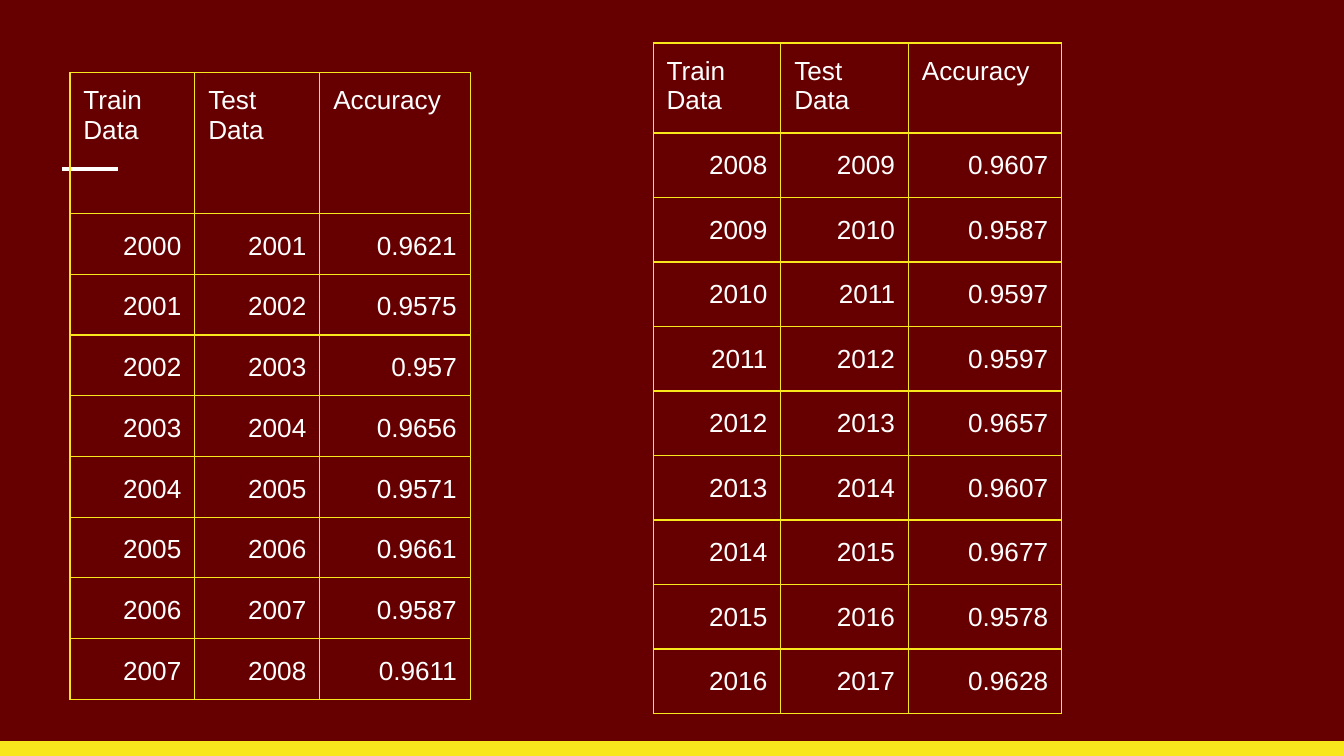
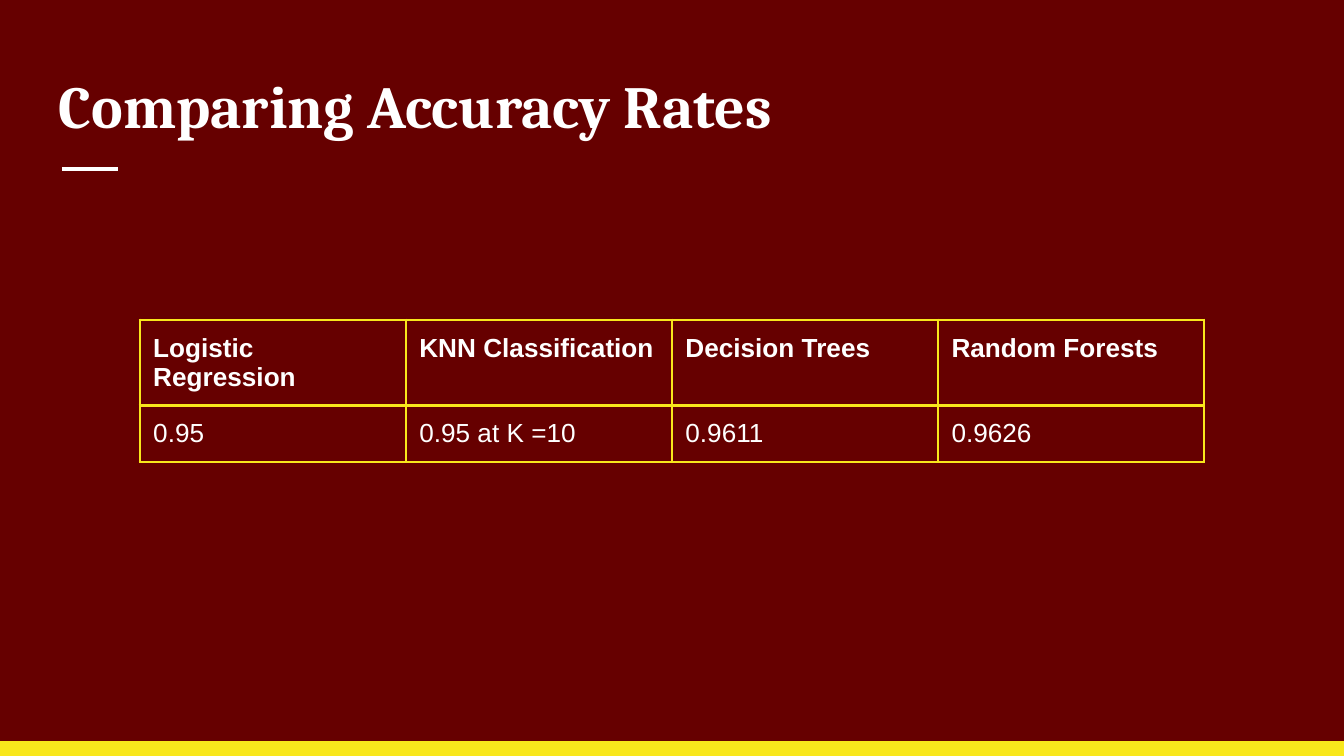
from dataclasses import dataclass

from lxml import etree
from pptx import Presentation
from pptx.dml.color import RGBColor
from pptx.enum.shapes import MSO_CONNECTOR, MSO_SHAPE
from pptx.enum.text import MSO_ANCHOR, PP_ALIGN
from pptx.oxml.ns import qn
from pptx.util import Inches, Pt

RECT = MSO_SHAPE.RECTANGLE
LINE = MSO_CONNECTOR.STRAIGHT
LEFT, RIGHT = PP_ALIGN.LEFT, PP_ALIGN.RIGHT
TOP = MSO_ANCHOR.TOP


@dataclass(frozen=True)
class Theme:
    back: str = "660000"
    accent: str = "F8E71C"
    text: str = "FFFFFF"
    head_font: str = "Cambria"
    body_font: str = "Arial"
    head_size: int = 32
    body_size: int = 14
    rule: float = 2.25
    inset: float = 0.1


THEME = Theme()
WIDE = 10
HIGH = WIDE * 9 / 16
BAND = 0.11

TITLE = "Comparing Accuracy Rates"
YEAR_HEADS = ["Train Data", "Test Data", "Accuracy"]
EARLY = (2000, ["0.9621", "0.9575", "0.957", "0.9656",
                "0.9571", "0.9661", "0.9587", "0.9611"])
LATE = (2008, ["0.9607", "0.9587", "0.9597", "0.9597", "0.9657",
               "0.9607", "0.9677", "0.9578", "0.9628"])
MODELS = [
    ["Logistic Regression", "KNN Classification", "Decision Trees", "Random Forests"],
    ["0.95", "0.95 at K =10", "0.9611", "0.9626"],
]


def color(code):
    return RGBColor.from_string(code)


def year_rows(first, scores):
    """Each model trains on one year and is tested on the next."""
    rows = [[str(year), str(year + 1), score]
            for year, score in enumerate(scores, first)]
    return [YEAR_HEADS] + rows


def style(para, font, size, bold=False):
    para.font.name = font
    para.font.size = Pt(size)
    para.font.bold = bold
    para.font.color.rgb = color(THEME.text)


def inset(box):
    """Set equal margins on a cell or a text frame."""
    box.margin_left = box.margin_right = Inches(THEME.inset)
    box.margin_top = box.margin_bottom = Inches(THEME.inset)


def border(cell, width):
    props = cell._tc.get_or_add_tcPr()
    for index, side in enumerate(("lnL", "lnR", "lnT", "lnB")):
        edge = etree.Element(qn("a:" + side), w=str(Pt(width)))
        fill = etree.SubElement(edge, qn("a:solidFill"))
        etree.SubElement(fill, qn("a:srgbClr"), val=THEME.accent)
        props.insert(index, edge)


def add_slide(deck):
    """Add a slide with the shared ground, bottom band and title rule."""
    slide = deck.slides.add_slide(deck.slide_layouts[6])
    ground = slide.background.fill
    ground.solid()
    ground.fore_color.rgb = color(THEME.back)

    band = slide.shapes.add_shape(
        RECT, 0, Inches(HIGH - BAND), Inches(WIDE), Inches(BAND))
    band.shadow.inherit = False
    band.fill.solid()
    band.fill.fore_color.rgb = color(THEME.accent)
    band.line.fill.background()

    rule = slide.shapes.add_connector(
        LINE, Inches(0.46), Inches(1.26), Inches(0.88), Inches(1.26))
    rule.line.color.rgb = color(THEME.text)
    rule.line.width = Pt(THEME.rule)
    etree.SubElement(rule._element.spPr, qn("a:effectLst"))
    return slide


def add_title(slide, text):
    box = slide.shapes.add_textbox(
        Inches(0.34), Inches(0.41), Inches(9.32), Inches(0.71))
    frame = box.text_frame
    frame.word_wrap = True
    frame.vertical_anchor = TOP
    inset(frame)
    frame.text = text
    style(frame.paragraphs[0], THEME.head_font, THEME.head_size, True)


def add_grid(slide, rows, left, top, widths, head, step, edge=0.75,
             align=RIGHT, space=1.15, bold=False):
    """Add a table: head and step are row heights; align and space suit the body."""
    heights = [head] + [step] * (len(rows) - 1)
    frame = slide.shapes.add_table(
        len(rows), len(widths), Inches(left), Inches(top),
        Inches(sum(widths)), Inches(sum(heights)))
    table = frame.table
    table.first_row = table.horz_banding = False
    for col, width in zip(table.columns, widths):
        col.width = Inches(width)
    for r, (texts, height) in enumerate(zip(rows, heights)):
        table.rows[r].height = Inches(height)
        for c, text in enumerate(texts):
            cell = table.cell(r, c)
            cell.text = text
            cell.fill.background()
            inset(cell)
            border(cell, edge)
            para = cell.text_frame.paragraphs[0]
            style(para, THEME.body_font, THEME.body_size, bold and r == 0)
            para.alignment = align if r else LEFT
            para.line_spacing = space if r else 1.0


def main():
    deck = Presentation()
    deck.slide_width, deck.slide_height = Inches(WIDE), Inches(HIGH)

    years = add_slide(deck)
    add_grid(years, year_rows(*EARLY), 0.52, 0.54, [0.93, 0.93, 1.12], 1.05, 0.44)
    add_grid(years, year_rows(*LATE), 4.86, 0.32, [0.95, 0.95, 1.14], 0.67, 0.48)

    models = add_slide(deck)
    add_grid(models, MODELS, 1.04, 2.38, [1.98] * 4, 0.42, 0.42,
             edge=1.5, align=LEFT, space=1.0, bold=True)
    add_title(models, TITLE)

    deck.save("out.pptx")


if __name__ == "__main__":
    main()
